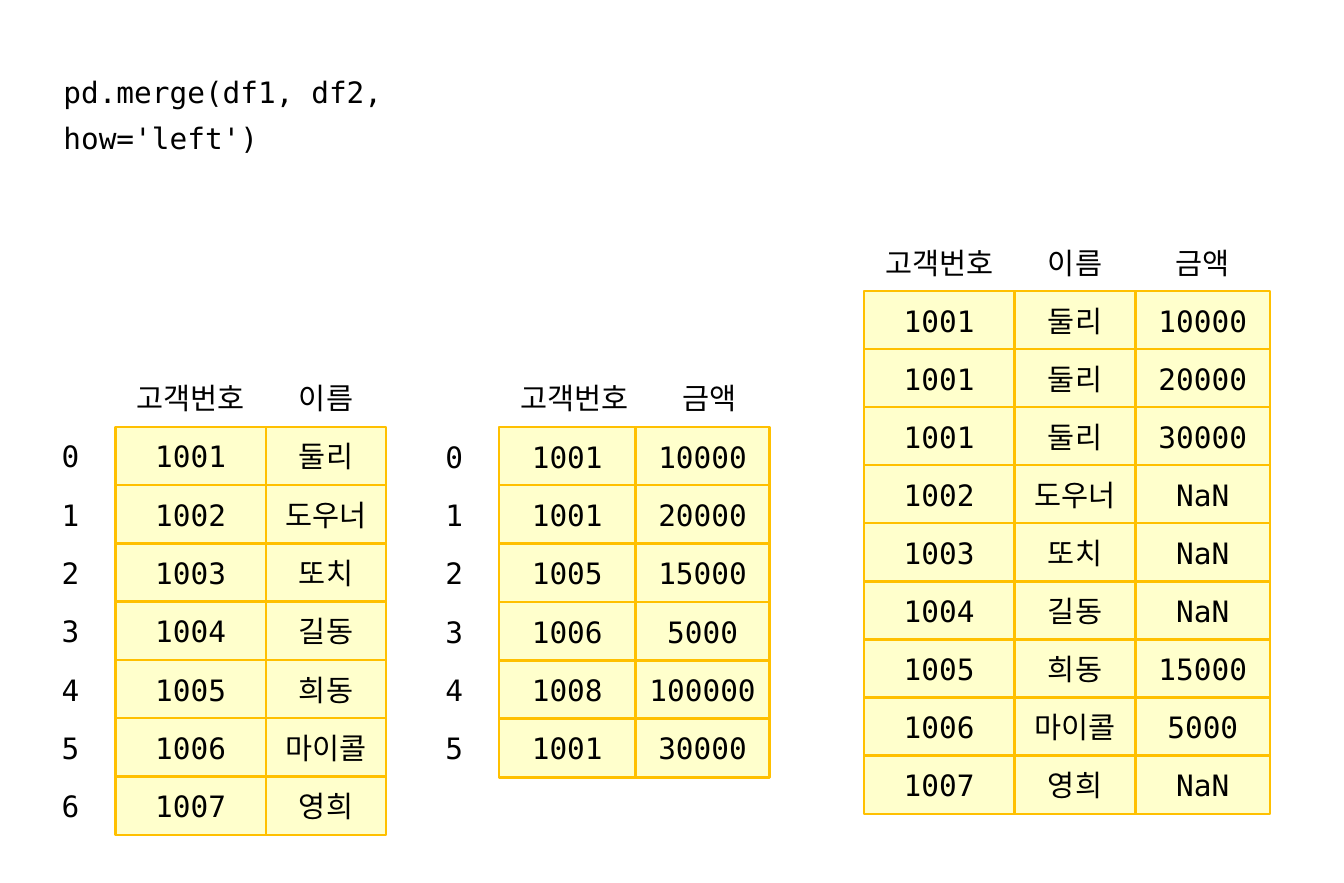
from itertools import accumulate

from pptx import Presentation
from pptx.dml.color import RGBColor
from pptx.enum.shapes import MSO_SHAPE
from pptx.enum.text import MSO_ANCHOR, MSO_AUTO_SIZE, PP_ALIGN
from pptx.util import Inches, Pt

FONT = "DejaVu Sans Mono"
TEXT, CELL, BORDER = "000000", "FFFFCC", "FFC000"
CELL_HEIGHT = 0.5
INDEX_WIDTH = 0.76

CUSTOMERS = [
    ("고객번호", "이름"),
    ("1001", "둘리"),
    ("1002", "도우너"),
    ("1003", "또치"),
    ("1004", "길동"),
    ("1005", "희동"),
    ("1006", "마이콜"),
    ("1007", "영희"),
]
PAYMENTS = [
    ("고객번호", "금액"),
    ("1001", "10000"),
    ("1001", "20000"),
    ("1005", "15000"),
    ("1006", "5000"),
    ("1008", "100000"),
    ("1001", "30000"),
]
MERGED = [
    ("고객번호", "이름", "금액"),
    ("1001", "둘리", "10000"),
    ("1001", "둘리", "20000"),
    ("1001", "둘리", "30000"),
    ("1002", "도우너", "NaN"),
    ("1003", "또치", "NaN"),
    ("1004", "길동", "NaN"),
    ("1005", "희동", "15000"),
    ("1006", "마이콜", "5000"),
    ("1007", "영희", "NaN"),
]


def color(value):
    """Turn a hex string into a colour."""
    return RGBColor.from_string(value)


def style_text(paragraph):
    """Give every run of a paragraph the slide's font."""
    for run in paragraph.runs:
        run.font.name = FONT
        run.font.size = Pt(18)
        run.font.color.rgb = color(TEXT)


def write_centered(shape, value):
    """Write one value in the middle of a shape."""
    frame = shape.text_frame
    frame.word_wrap = True
    frame.vertical_anchor = MSO_ANCHOR.MIDDLE
    frame.text = value
    frame.paragraphs[0].alignment = PP_ALIGN.CENTER
    style_text(frame.paragraphs[0])


def add_label(slide, value, left, top, width):
    """Place a plain heading or index label."""
    label = slide.shapes.add_textbox(
        Inches(left), Inches(top), Inches(width), Inches(CELL_HEIGHT))
    write_centered(label, value)


def add_cell(slide, value, left, top, width):
    """Place a yellow value cell."""
    cell = slide.shapes.add_shape(
        MSO_SHAPE.RECTANGLE,
        Inches(left), Inches(top), Inches(width), Inches(CELL_HEIGHT))
    cell.shadow.inherit = False
    cell.fill.solid()
    cell.fill.fore_color.rgb = color(CELL)
    cell.line.color.rgb = color(BORDER)
    cell.line.width = Pt(1.5)
    write_centered(cell, value)


def add_row(slide, add_part, values, left, top, widths):
    """Place the parts of one row side by side."""
    offsets = accumulate(widths, initial=0)
    for value, offset, width in zip(values, offsets, widths):
        add_part(slide, value, left + offset, top, width)


def add_frame(slide, records, left, top, height, widths, heading_widths, indexed):
    """Place a data frame with its headings and an optional index at its left."""
    headings, *rows = records
    pitch = height / len(records)
    add_row(slide, add_label, headings, left, top, heading_widths)
    for number, values in enumerate(rows):
        row_top = top + (number + 1) * pitch
        if indexed:
            add_label(slide, str(number), left - INDEX_WIDTH, row_top, INDEX_WIDTH)
        add_row(slide, add_cell, values, left, row_top, widths)


def add_code(slide, left, top, width, height):
    """Write the merge call in the given box."""
    code = slide.shapes.add_textbox(
        Inches(left), Inches(top), Inches(width), Inches(height)).text_frame
    code.word_wrap = True
    code.auto_size = MSO_AUTO_SIZE.SHAPE_TO_FIT_TEXT
    code.text = "pd.merge(df1, df2, how='left')"
    code.paragraphs[0].line_spacing = 1.3
    style_text(code.paragraphs[0])


def main():
    """Build the left merge slide."""
    presentation = Presentation()
    presentation.slide_width = Inches(11.42)
    presentation.slide_height = Inches(7.5)
    slide = presentation.slides.add_slide(presentation.slide_layouts[6])
    name_widths = (1.28, 1.02)
    merged_widths = (1.28, 1.03, 1.14)
    add_code(slide, 0.44, 0.49, 4.5, 0.46)
    add_frame(slide, PAYMENTS, 4.24, 3.13, 3.47, (1.16, 1.14), name_widths, True)
    add_frame(slide, CUSTOMERS, 0.98, 3.13, 3.96, name_widths, name_widths, True)
    add_frame(slide, MERGED, 7.34, 1.98, 4.93, merged_widths, merged_widths, False)
    presentation.save("out.pptx")


if __name__ == "__main__":
    main()
